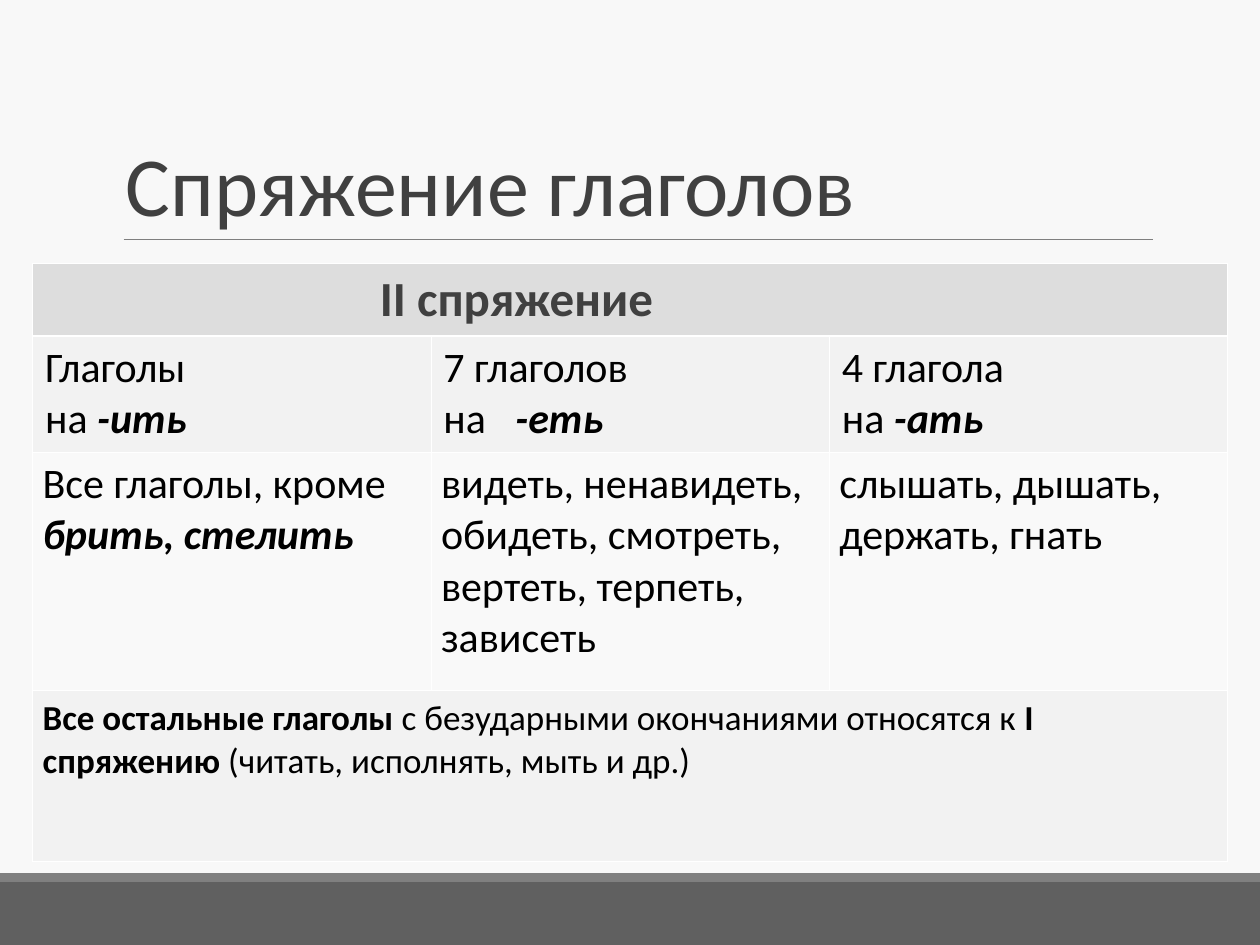
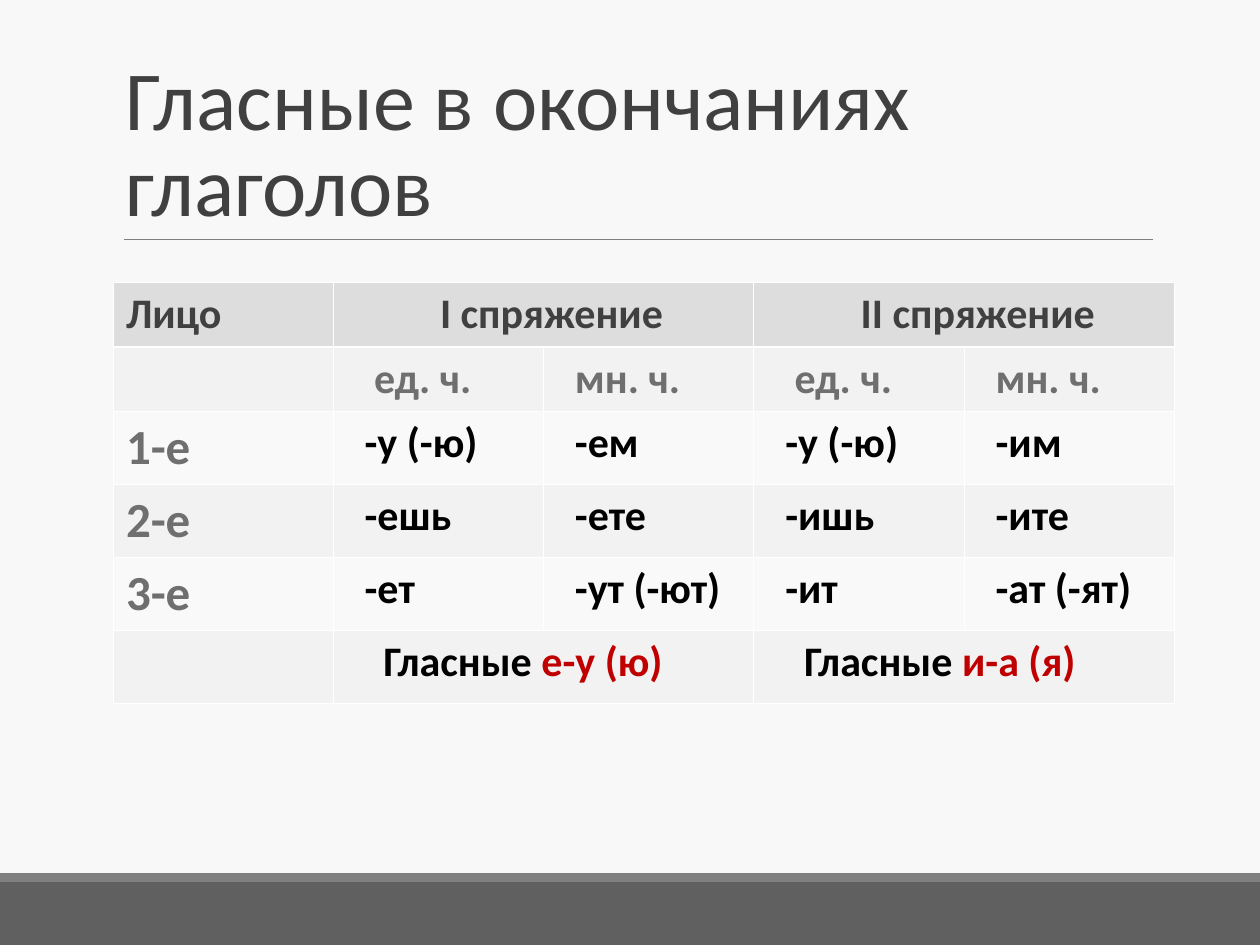
from lxml import etree
from pptx import Presentation
from pptx.dml.color import RGBColor
from pptx.enum.shapes import MSO_CONNECTOR, MSO_SHAPE
from pptx.enum.text import MSO_ANCHOR
from pptx.oxml.ns import qn
from pptx.util import Cm, Pt

LINE = MSO_CONNECTOR.STRAIGHT
RECT = MSO_SHAPE.RECTANGLE
BOTTOM = MSO_ANCHOR.BOTTOM

THEME = {
    "font": "Calibri",
    "back": "F8F8F8",
    "bar": "606060",
    "strip": "808080",
    "rule": "7F7F7F",
    "edge": "FFFFFF",
    "head": "DDDDDD",
    "bands": ("F9F9F9", "F2F2F2"),
    "accent": "C00000",
    "thin": 0.45,
    "thick": 1.47,
    "looks": {
        "title": (48, "404040", False),
        "top": (28, "404040", True),
        "label": (24, "404040", True),
        "number": (24, "6F6F6F", True),
        "person": (28, "6F6F6F", True),
        "ending": (24, "000000", True),
        "body": (24, "000000", False),
        "note": (20, "000000", False),
    },
}

# Cell: look, left inset, columns spanned, paragraphs of (text, mark) runs.
VERBS = {
    "title": "Спряжение глаголов",
    "place": (0.66, 5.31),
    "cols": [8.03] * 3,
    "rows": [1.47, 2.34, 4.8, 3.45],
    "cells": [
        [("top", 7, 3, [[("II спряжение", "")]])],
        [
            ("body", 0.25, 1, [[("Глаголы", "")], [("на ", ""), ("-ить", "bi")]]),
            ("body", 0.25, 1, [[("7 глаголов", "")], [("на\t", ""), ("-еть", "bi")]]),
            ("body", 0.25, 1, [[("4 глагола", "")], [("на ", ""), ("-ать", "bi")]]),
        ],
        [
            ("body", 0.2, 1, [[("Все глаголы, кроме ", ""), ("брить, стелить", "bi")]]),
            ("body", 0.2, 1, [[("видеть, ненавидеть, обидеть, смотреть, "
                                "вертеть, терпеть, зависеть", "")]]),
            ("body", 0.2, 1, [[("слышать, дышать, держать, гнать", "")]]),
        ],
        [("note", 0.2, 3, [[
            ("Все остальные глаголы", "b"),
            (" с безударными окончаниями относятся к ", ""),
            ("I спряжению", "b"),
            (" (читать, исполнять, мыть и др.)", ""),
        ]])],
    ],
}

FORMS = [
    ("1-е", ["-у (-ю)", "-ем", "-у (-ю)", "-им"]),
    ("2-е", ["-ешь", "-ете", "-ишь", "-ите"]),
    ("3-е", ["-ет", "-ут (-ют)", "-ит", "-ат (-ят)"]),
]
VOWELS = ["е-у (ю)", "и-а (я)"]


def plain(look, text, pad=0.25, span=1):
    return look, pad, span, [[(text, "")]]


BLANK = ("ending", 0.25, 1, [])
COUNTS = [plain("number", "ед. ч.", 0.83), plain("number", "мн. ч.", 0.64)]

ENDINGS = {
    "title": "Гласные в окончаниях глаголов",
    "place": (2.29, 5.69),
    "cols": [4.42] + [4.24] * 4,
    "rows": [1.3] * 2 + [1.47] * 4,
    "cells": [
        [plain("label", "Лицо")]
        + [plain("label", f"{n} спряжение", 2.16, 2) for n in ("I", "II")],
        [BLANK] + COUNTS * 2,
        *[[plain("person", who)] + [plain("ending", form, 0.64) for form in forms]
          for who, forms in FORMS],
        [BLANK] + [("ending", 1.02, 2, [[("Гласные ", ""), (pair, "r")]])
                   for pair in VOWELS],
    ],
}


def tone(name):
    return RGBColor.from_string(name)


def paint(fill, name):
    fill.solid()
    fill.fore_color.rgb = tone(name)


def style(para, look):
    size, ink, bold = THEME["looks"][look]
    font = para.font
    font.name, font.size, font.bold = THEME["font"], Pt(size), bold
    font.color.rgb = tone(ink)


def tab(para, at):
    stops = etree.Element(qn("a:tabLst"))
    etree.SubElement(stops, qn("a:tab"), pos=str(Cm(at)), algn="l")
    para._p.get_or_add_pPr().insert(0, stops)


def write(para, runs, look):
    style(para, look)
    for text, mark in runs:
        run = para.add_run()
        run.text = text
        if "b" in mark:
            run.font.bold = True
        if "i" in mark:
            run.font.italic = True
        if "r" in mark:
            run.font.color.rgb = tone(THEME["accent"])
    if any("\t" in text for text, _ in runs):
        tab(para, 1.45)


def edge(cell, row):
    props = cell._tc.get_or_add_tcPr()
    heavy = {0: "B", 1: "T"}.get(row)
    for spot, side in enumerate("LRTB"):
        width = THEME["thick"] if side == heavy else THEME["thin"]
        line = etree.Element(qn(f"a:ln{side}"), w=str(Pt(width)))
        fill = etree.SubElement(line, qn("a:solidFill"))
        etree.SubElement(fill, qn("a:srgbClr"), val=THEME["edge"])
        props.insert(spot, line)


def fill_cell(cell, look, pad, paras):
    cell.margin_left = Cm(pad)
    cell.margin_right = Cm(min(pad, 0.25))
    cell.margin_top = cell.margin_bottom = Cm(0.13)
    frame = cell.text_frame
    for spot, runs in enumerate(paras):
        para = frame.add_paragraph() if spot else frame.paragraphs[0]
        write(para, runs, look)


def add_grid(slide, data):
    cols, rows = data["cols"], data["rows"]
    left, top = data["place"]
    grid = slide.shapes.add_table(len(rows), len(cols), Cm(left), Cm(top),
                                  Cm(sum(cols)), Cm(sum(rows))).table
    grid.first_row = grid.horz_banding = False
    for col, width in zip(grid.columns, cols):
        col.width = Cm(width)
    for row, high in zip(grid.rows, rows):
        row.height = Cm(high)
    for y, cells in enumerate(data["cells"]):
        for x in range(len(cols)):
            paint(grid.cell(y, x).fill, THEME["bands"][y % 2] if y else THEME["head"])
            edge(grid.cell(y, x), y)
        x = 0
        for look, pad, span, paras in cells:
            cell = grid.cell(y, x)
            if span > 1:
                cell.merge(grid.cell(y, x + span - 1))
            fill_cell(cell, look, pad, paras)
            x += span


def add_frame(slide, title):
    paint(slide.background.fill, THEME["back"])
    for name, top, high in (("bar", 17.78, 1.27), ("strip", 17.6, 0.18)):
        band = slide.shapes.add_shape(RECT, 0, Cm(top), Cm(25.4), Cm(high))
        band.shadow.inherit = False
        paint(band.fill, THEME[name])
        band.line.fill.background()
    rule = slide.shapes.add_connector(LINE, Cm(2.49), Cm(4.83), Cm(23.24), Cm(4.83))
    rule.line.color.rgb = tone(THEME["rule"])
    rule.line.width = Pt(0.5)
    etree.SubElement(rule._element.spPr, qn("a:effectLst"))
    frame = slide.shapes.add_textbox(Cm(2.29), Cm(0.79), Cm(20.96), Cm(4.04)).text_frame
    frame.word_wrap = True
    frame.vertical_anchor = BOTTOM
    para = frame.paragraphs[0]
    para.line_spacing = 0.85
    write(para, [(title, "")], "title")


def main():
    deck = Presentation()
    deck.slide_width, deck.slide_height = Cm(25.4), Cm(19.05)
    for data in (VERBS, ENDINGS):
        slide = deck.slides.add_slide(deck.slide_layouts[6])
        add_frame(slide, data["title"])
        add_grid(slide, data)
    deck.save("out.pptx")


if __name__ == "__main__":
    main()
